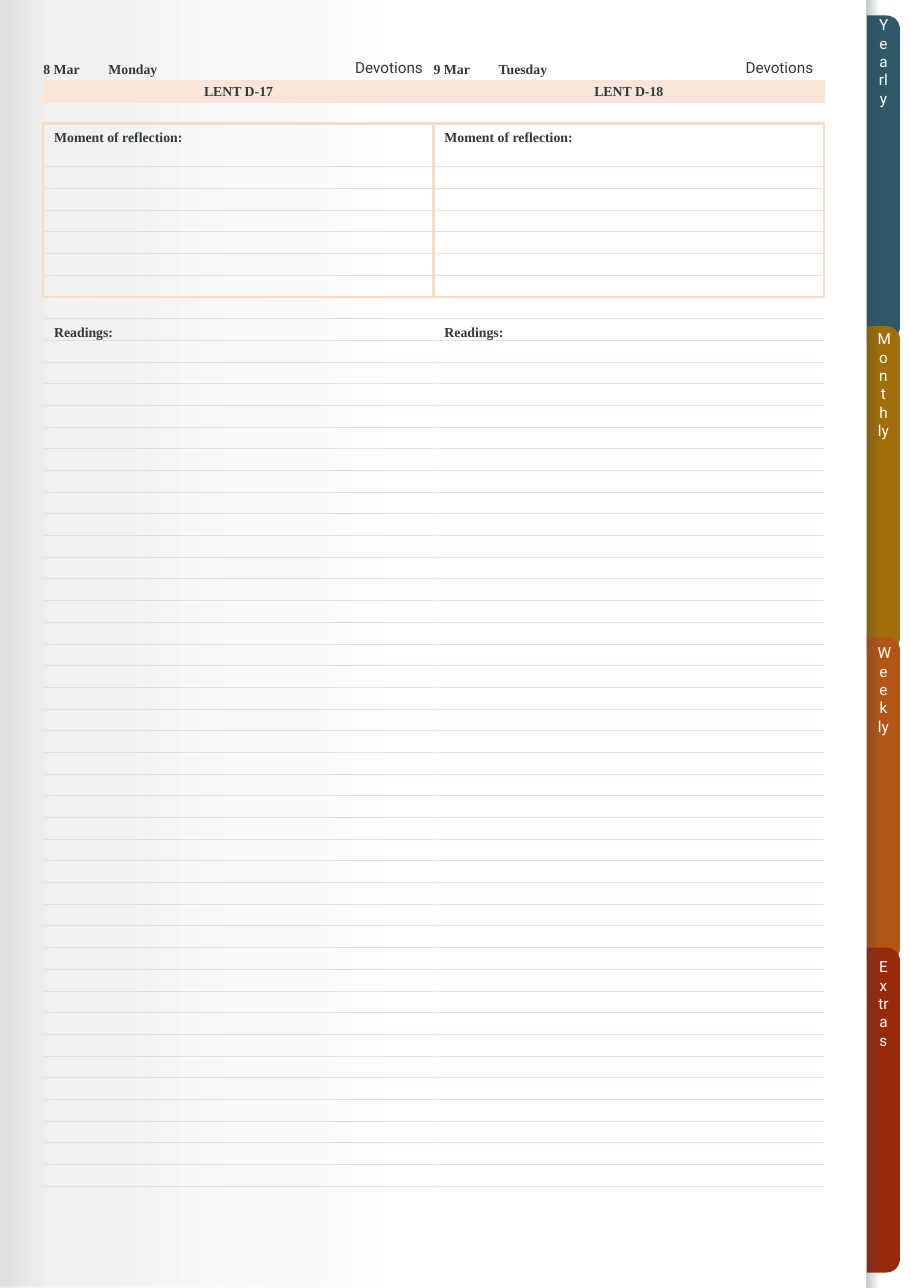
from lxml import etree
from pptx import Presentation
from pptx import util as u
from pptx.dml.color import RGBColor
from pptx.enum import shapes, text
from pptx.oxml import ns

PAGE_WIDTH, PAGE_HEIGHT = 8.27, 11.69
STEP = 5 / 25.4  # the planner sits on a 5 mm grid
COLUMN_WIDTH = 18 * STEP
MARGIN = 2 * STEP
BOX_TOP = 1.12
READINGS_TOP = BOX_TOP + 9 * STEP
TAB_LEFT, TAB_TOP, TAB_WIDTH, TAB_LENGTH = 7.87, 0.14, 0.3, 2.95
TAB_STEP, TAB_LABEL_STEP = 2.82, 2.85

PEACH, PALE_PEACH, INK, WHITE = "F8DAC6", "FAE6D9", "2F393D", "FFFFFF"
SERIF, SANS = "Times New Roman", "Roboto"
DAYS = [("8 Mar", "Monday", "LENT D-17"), ("9 Mar", "Tuesday", "LENT D-18")]
TABS = [("Yearly", "2F5869"), ("Monthly", "A16E09"),
        ("Weekly", "B35517"), ("Extras", "98290D")]
PAGE_SHADE = [(0, "D9D9D9", 88), (6, "D9D9D9", 33), (19, "F2F2F2", 65), (43, WHITE, 100)]
EDGE_SHADE = [(0, "384448", 30), (31, "384448", 0)]


def color(value):
    """Turn a hex string into a colour."""
    return RGBColor.from_string(value)


def add_box(slide, left, top, width, height, fill=None, line=None, weight=1,
            kind=shapes.MSO_SHAPE.RECTANGLE):
    """Add a preset shape with an optional fill and outline."""
    shape = slide.shapes.add_shape(kind, *map(u.Inches, (left, top, width, height)))
    shape.shadow.inherit = False
    if fill:
        shape.fill.solid()
        shape.fill.fore_color.rgb = color(fill)
    else:
        shape.fill.background()
    if line:
        shape.line.color.rgb = color(line)
        shape.line.width = u.Pt(weight)
    else:
        shape.line.fill.background()
    return shape


def add_shade(slide, left, width, stops):
    """Add a full-height strip with a horizontal, partly transparent gradient."""
    shape = add_box(slide, left, 0, width, PAGE_HEIGHT)
    gradient = etree.Element(ns.qn("a:gradFill"), rotWithShape="1")
    stop_list = etree.SubElement(gradient, ns.qn("a:gsLst"))
    for position, value, opacity in stops:
        stop = etree.SubElement(stop_list, ns.qn("a:gs"), pos=str(position * 1000))
        tint = etree.SubElement(stop, ns.qn("a:srgbClr"), val=value)
        etree.SubElement(tint, ns.qn("a:alpha"), val=str(opacity * 1000))
    etree.SubElement(gradient, ns.qn("a:lin"), ang="0", scaled="0")
    properties = shape._element.spPr
    properties.replace(properties.find(ns.qn("a:noFill")), gradient)


def add_line(slide, left, top, right, bottom, value=PEACH, weight=0.5):
    """Add a straight line without a shadow."""
    line = slide.shapes.add_connector(
        shapes.MSO_CONNECTOR.STRAIGHT, *map(u.Inches, (left, top, right, bottom)))
    line.line.color.rgb = color(value)
    line.line.width = u.Pt(weight)
    etree.SubElement(line._element.spPr, ns.qn("a:effectLst"))


def write(shape, words, font=SERIF, size=9, value=INK, bold=True, indent=0.1,
          align=text.PP_ALIGN.LEFT, anchor=text.MSO_ANCHOR.MIDDLE):
    """Put one formatted paragraph into a shape."""
    frame = shape.text_frame
    frame.text = words
    frame.word_wrap = True
    frame.vertical_anchor = anchor
    frame.margin_left, frame.margin_right = u.Inches(indent), u.Inches(0.1)
    frame.margin_top = frame.margin_bottom = 0
    paragraph = frame.paragraphs[0]
    paragraph.alignment = align
    run_font = paragraph.runs[0].font
    run_font.name, run_font.size, run_font.bold = font, u.Pt(size), bold
    run_font.color.rgb = color(value)
    return paragraph


def add_text(slide, words, left, top, width, height=STEP, **style):
    """Add a text box and return it with its paragraph."""
    box = slide.shapes.add_textbox(*map(u.Inches, (left, top, width, height)))
    return box, write(box, words, **style)


def add_label(slide, words, left, top, width):
    """Add a section label that rests on its ruled row."""
    _, paragraph = add_text(slide, words, left, top, width, anchor=text.MSO_ANCHOR.BOTTOM)
    paragraph.line_spacing = 0.9
    paragraph.space_before = u.Pt(5)


def add_rules(slide, left, top, count):
    """Rule a column with evenly spaced lines."""
    for row in range(count):
        y = top + row * STEP
        add_line(slide, left, y, left + COLUMN_WIDTH, y)


def add_column(slide, left):
    """Add the reflection box and the readings area of one day."""
    add_rules(slide, left, READINGS_TOP, 41)
    add_rules(slide, left, BOX_TOP + 2 * STEP, 6)
    add_box(slide, left, BOX_TOP, COLUMN_WIDTH, 8 * STEP, line=PEACH, weight=1.5)
    add_label(slide, "Moment of reflection:", left, BOX_TOP, COLUMN_WIDTH)
    add_label(slide, "Readings:", left, READINGS_TOP, COLUMN_WIDTH / 2)


def add_heading(slide, left, date, weekday, season):
    """Add the date line and the season band of one day."""
    band = add_box(slide, left, 0.73, COLUMN_WIDTH, STEP, PALE_PEACH, PALE_PEACH)
    write(band, season, align=text.PP_ALIGN.CENTER)
    add_text(slide, date, left, 0.53, 3 * STEP, indent=0)
    add_text(slide, weekday, left + 3 * STEP, 0.53, 4 * STEP, indent=0)
    add_text(slide, "Devotions", left + 7 * STEP, 0.53, 11 * STEP, 0.3, font=SANS, size=10,
             bold=False, align=text.PP_ALIGN.RIGHT, anchor=text.MSO_ANCHOR.TOP)


def add_tab(slide, index, fill):
    """Add a side tab, turned so its rounded end faces right."""
    left = TAB_LEFT + (TAB_WIDTH - TAB_LENGTH) / 2
    top = TAB_TOP + index * TAB_STEP + (TAB_LENGTH - TAB_WIDTH) / 2
    tab = add_box(slide, left, top, TAB_LENGTH, TAB_WIDTH, fill,
                  kind=shapes.MSO_SHAPE.ROUND_2_SAME_RECTANGLE)
    tab.adjustments[0], tab.adjustments[1] = 0.41, 0
    tab.rotation = 90


def add_tab_label(slide, index, name):
    """Add the vertical name of a side tab."""
    box, _ = add_text(slide, name, TAB_LEFT, TAB_TOP + index * TAB_LABEL_STEP, TAB_WIDTH,
                      TAB_LABEL_STEP, font=SANS, size=10, value=WHITE, bold=False,
                      align=text.PP_ALIGN.CENTER)
    box.text_frame._txBody.bodyPr.set("vert", "mongolianVert")


def main():
    """Build the two-day devotions page."""
    presentation = Presentation()
    presentation.slide_width = u.Inches(PAGE_WIDTH)
    presentation.slide_height = u.Inches(PAGE_HEIGHT)
    slide = presentation.slides.add_slide(presentation.slide_layouts[6])

    add_shade(slide, 0, PAGE_WIDTH, PAGE_SHADE)
    for index, (_, fill) in enumerate(TABS):
        add_tab(slide, index, fill)
    add_shade(slide, TAB_LEFT, 0.39, EDGE_SHADE)

    middle = MARGIN + COLUMN_WIDTH
    add_column(slide, MARGIN)
    add_line(slide, middle, READINGS_TOP, middle, PAGE_HEIGHT, WHITE, 1.5)
    add_column(slide, middle)
    for left, day in zip((MARGIN, middle), DAYS):
        add_heading(slide, left, *day)
    for index, (name, _) in enumerate(TABS):
        add_tab_label(slide, index, name)

    presentation.save("out.pptx")


main()
